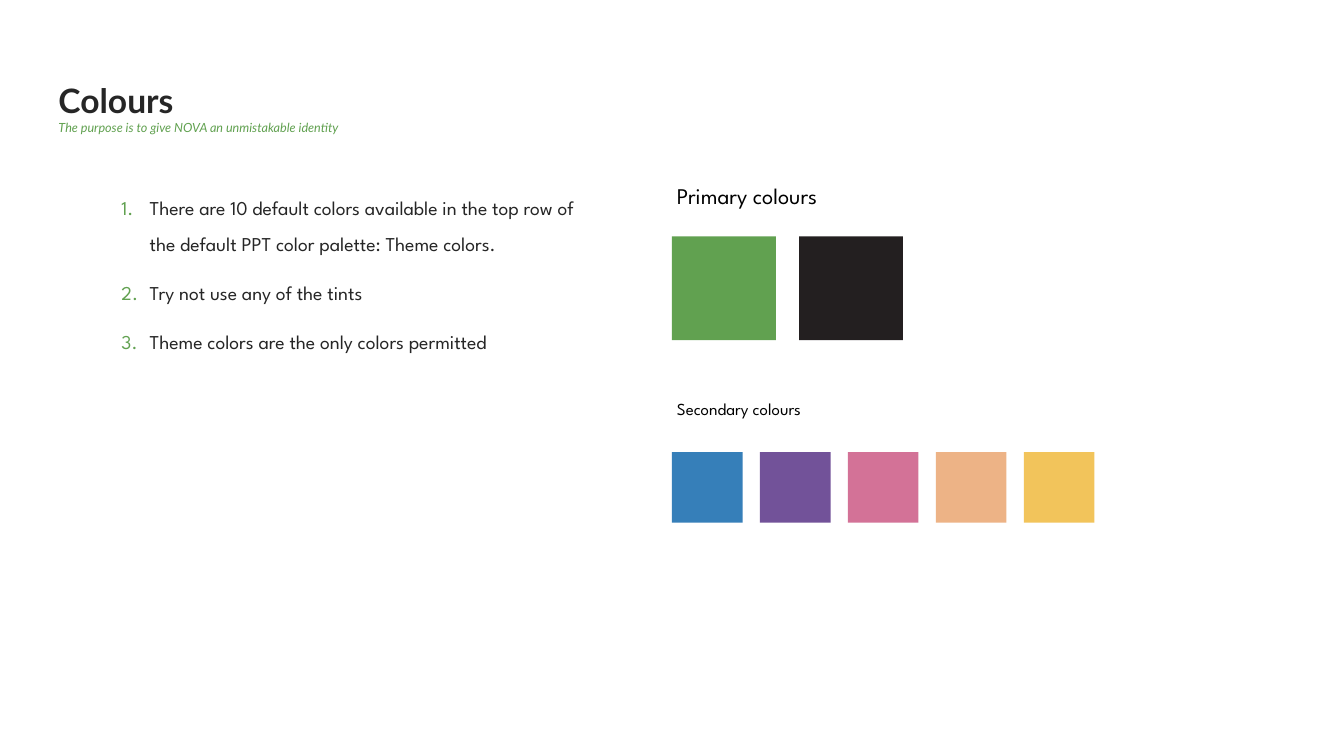
from typing import NamedTuple

from lxml import etree
from pptx import Presentation
from pptx.dml.color import RGBColor
from pptx.enum.shapes import MSO_SHAPE
from pptx.enum.text import MSO_ANCHOR, MSO_AUTO_SIZE
from pptx.oxml.ns import qn
from pptx.util import Pt

RECTANGLE = MSO_SHAPE.RECTANGLE
TOP, BOTTOM = MSO_ANCHOR.TOP, MSO_ANCHOR.BOTTOM
GROW, FIXED = MSO_AUTO_SIZE.SHAPE_TO_FIT_TEXT, MSO_AUTO_SIZE.NONE

PX = 9144  # EMU per px, 100 px to the inch
HEADING_FONT, BODY_FONT = "Lato", "League Spartan"
COLOURS = {
    "green": "61A150", "ink": "231F20", "blue": "367FB9", "purple": "725299",
    "pink": "D37297", "peach": "EDB386", "yellow": "F2C45B",
    "text": "262626", "black": "000000",
}
RULES = [
    "There are 10 default colors available in the top row of "
    "the default PPT color palette: Theme colors.",
    "Try not use any of the tints",
    "Theme colors are the only colors permitted",
]


class Box(NamedTuple):
    left: int
    top: int
    width: int
    height: int


class Palette(NamedTuple):
    label: str
    label_box: Box
    label_size: int
    left: int
    top: int
    side: int
    pitch: float
    colours: list[str]


PALETTES = [
    Palette("Primary colours", Box(1333, 357, 609, 82), 32,
            1333, 469, 206, 252, ["green", "ink"]),
    Palette("Secondary colours", Box(1333, 787, 609, 65), 24,
            1333, 897, 140, 174.5, ["blue", "purple", "pink", "peach", "yellow"]),
]


def emu(px: float) -> int:
    return round(px * PX)


def rgb(name: str) -> RGBColor:
    return RGBColor.from_string(COLOURS[name])


def add_frame(slide, box: Box, inset: int = 10, anchor=TOP, fit=FIXED):
    frame = slide.shapes.add_textbox(*map(emu, box)).text_frame
    frame.word_wrap = True
    frame.auto_size = fit
    frame.vertical_anchor = anchor
    frame.margin_left = frame.margin_right = emu(inset)
    return frame


def write(paragraph, text: str, *, size: int, colour: str, font: str = BODY_FONT,
          bold: bool = False, italic: bool = False) -> None:
    run = paragraph.add_run()
    run.text = text
    run.font.name = font
    run.font.size = Pt(size)
    run.font.bold = bold
    run.font.italic = italic
    run.font.color.rgb = rgb(colour)


def number(paragraph, indent: int, colour: str) -> None:
    properties = paragraph._p.get_or_add_pPr()
    properties.set("marL", str(emu(indent)))
    properties.set("indent", str(-emu(indent)))
    bullet_colour = etree.SubElement(properties, qn("a:buClr"))
    etree.SubElement(bullet_colour, qn("a:srgbClr"), val=COLOURS[colour])
    etree.SubElement(properties, qn("a:buAutoNum"), type="arabicPeriod")


def draw_palette(slide, palette: Palette) -> None:
    label = add_frame(slide, palette.label_box, fit=GROW)
    label.margin_top = label.margin_bottom = emu(5)
    write(label.paragraphs[0], palette.label, size=palette.label_size, colour="black")
    for index, colour in enumerate(palette.colours):
        box = Box(palette.left + index * palette.pitch, palette.top,
                  palette.side, palette.side)
        swatch = slide.shapes.add_shape(RECTANGLE, *map(emu, box))
        swatch.shadow.inherit = False
        swatch.fill.solid()
        swatch.fill.fore_color.rgb = rgb(colour)
        swatch.line.fill.background()


def main() -> None:
    deck = Presentation()
    deck.slide_width, deck.slide_height = emu(2666), emu(1500)
    slide = deck.slides.add_slide(deck.slide_layouts[6])

    # Heading and subtitle
    heading_frame = add_frame(slide, Box(77, 118, 2512, 160), inset=39, anchor=BOTTOM)
    heading_frame.margin_top = heading_frame.margin_bottom = emu(10)
    heading = heading_frame.paragraphs[0]
    write(heading, "Colours", size=48, colour="text", font=HEADING_FONT, bold=True)
    heading.add_line_break()
    write(heading, "The purpose is to give NOVA an unmistakable identity",
          size=18, colour="green", font=HEADING_FONT, italic=True)

    # Numbered rules
    rules_frame = add_frame(slide, Box(231, 356, 945, 907))
    rules_frame.margin_top = rules_frame.margin_bottom = emu(10)
    for index, rule in enumerate(RULES):
        paragraph = rules_frame.add_paragraph() if index else rules_frame.paragraphs[0]
        number(paragraph, indent=56, colour="green")
        paragraph.line_spacing = 1.5
        paragraph.space_before = Pt(20 if index else 0)
        write(paragraph, rule, size=28, colour="text")

    # Colour palettes
    for palette in PALETTES:
        draw_palette(slide, palette)

    deck.save("out.pptx")


if __name__ == "__main__":
    main()
